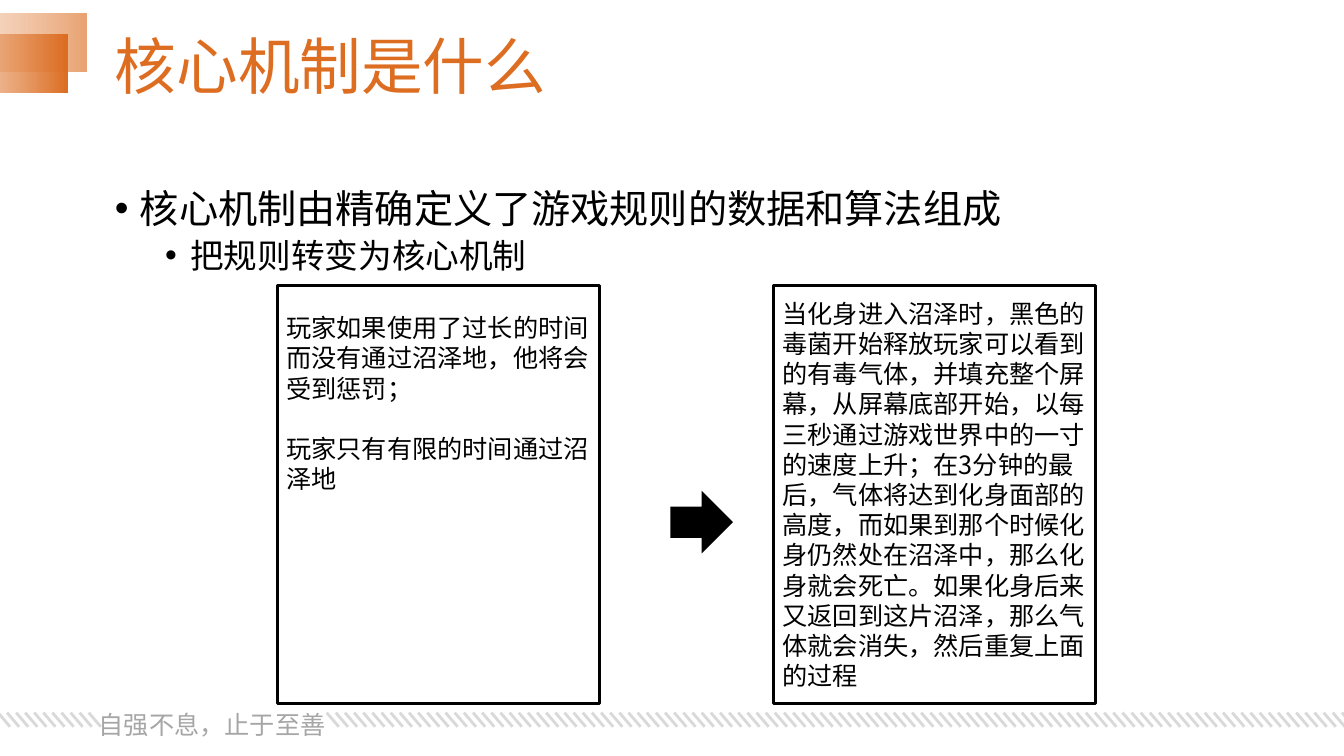
from dataclasses import dataclass

from lxml.etree import SubElement
from pptx import Presentation
from pptx.dml.color import RGBColor
from pptx.enum.shapes import MSO_CONNECTOR as Connector, MSO_SHAPE as Shape
from pptx.enum.text import MSO_ANCHOR as Anchor, PP_ALIGN as Align
from pptx.oxml.ns import qn
from pptx.util import Inches, Pt


@dataclass(frozen=True)
class Theme:
    font: str = "Noto Sans CJK SC"
    footer_font: str = "Noto Sans CJK JP"
    accent: str = "DD6D21"
    accent_light: str = "EAA372"
    ink: str = "000000"
    white: str = "FFFFFF"
    motto: str = "A6A6A6"
    hatch: str = "D9D9D9"
    title_size: int = 44
    point_size: int = 28
    subpoint_size: int = 24
    text_size: int = 18
    rule: int = 2


THEME = Theme()
TITLE = "核心机制是什么"
MOTTO = "自强不息，止于至善"
POINTS = [
    ("核心机制由精确定义了游戏规则的数据和算法组成",
     dict(size=THEME.point_size, leading=33, indent=0.25)),
    ("把规则转变为核心机制",
     dict(size=THEME.subpoint_size, leading=26, indent=0.75, before=5)),
]
RULES = [
    "玩家如果使用了过长的时间而没有通过沼泽地，他将会受到惩罚；",
    "玩家只有有限的时间通过沼泽地",
]
MECHANICS = [
    "当化身进入沼泽时，黑色的毒菌开始释放玩家可以看到的有毒气体，并填充整个屏幕，"
    "从屏幕底部开始，以每三秒通过游戏世界中的一寸的速度上升；在3分钟的最后，"
    "气体将达到化身面部的高度，而如果到那个时候化身仍然处在沼泽中，那么化身就会死亡。"
    "如果化身后来又返回到这片沼泽，那么气体就会消失，然后重复上面的过程",
]
PANELS = [
    (2.75, RULES, Anchor.TOP, 0.27),
    (7.67, MECHANICS, Anchor.MIDDLE, 0.05),
]
CORNER_BANDS = [
    (-1.59, 0.13, THEME.accent_light, 25),
    (-1.78, 0.34, THEME.accent, 0),
]
HATCHES = [(-0.02, 0.88, 11), (3.24, 13.31, 112)]
LEADING = 21.6


def color(code):
    """Turn a hex code into a colour."""
    return RGBColor.from_string(code)


def box(left, top, width, height):
    """Give a position and size in inches."""
    return [Inches(length) for length in (left, top, width, height)]


def write(frame, text, size=THEME.text_size, ink=THEME.ink, font=THEME.font,
          leading=LEADING, before=0, indent=None, align=Align.LEFT):
    """Add one formatted paragraph to a text frame."""
    first = frame.paragraphs[0]
    paragraph = frame.add_paragraph() if first.runs else first
    if indent is not None:
        properties = paragraph._p.get_or_add_pPr()
        properties.set("marL", str(Inches(indent)))
        properties.set("indent", str(Inches(-0.25)))
        SubElement(properties, qn("a:buFont")).set("typeface", "Arial")
        SubElement(properties, qn("a:buChar")).set("char", "•")
    paragraph.alignment = align
    paragraph.line_spacing = Pt(leading)
    paragraph.space_before = Pt(before)
    run = paragraph.add_run()
    run.text = text
    run.font.name = font
    run.font.size = Pt(size)
    run.font.color.rgb = color(ink)
    SubElement(run._r.get_or_add_rPr(), qn("a:ea")).set("typeface", font)


def add_corner_band(slide, left, top, tint, opacity):
    """Draw a band that fades in from transparent white to a tint."""
    band = slide.shapes.add_shape(Shape.RECTANGLE, *box(left, top, 2.45, 0.58))
    band.shadow.inherit = False
    band.line.fill.background()
    band.fill.gradient()
    band.fill.gradient_angle = 0
    for stop, code in zip(band.fill.gradient_stops, (THEME.white, tint)):
        stop.color.rgb = color(code)
    start = band.element.spPr.find(".//" + qn("a:srgbClr"))
    SubElement(start, qn("a:alpha")).set("val", str(opacity * 1000))


def add_hatch(slide, first, last, count):
    """Draw a row of evenly spaced slanted strokes."""
    step = (last - first) / (count - 1)
    for index in range(count):
        left = first + index * step
        stroke = slide.shapes.add_connector(
            Connector.STRAIGHT, *box(left, 7.07, left + 0.12, 7.21))
        stroke.line.color.rgb = color(THEME.hatch)
        stroke.line.width = Pt(THEME.rule)
        SubElement(stroke.element.spPr, qn("a:effectLst"))


def add_panel(slide, left, paragraphs, anchor, inset):
    """Draw an outlined panel of text."""
    panel = slide.shapes.add_shape(Shape.RECTANGLE, *box(left, 2.83, 3.2, 4.15))
    panel.shadow.inherit = False
    panel.fill.background()
    panel.line.color.rgb = color(THEME.ink)
    panel.line.width = Pt(THEME.rule)
    frame = panel.text_frame
    frame.word_wrap = True
    frame.vertical_anchor = anchor
    frame.margin_top = Inches(inset)
    frame.margin_left = frame.margin_right = Inches(0.09)
    for index, text in enumerate(paragraphs):
        write(frame, text, before=LEADING if index else 0)


def main():
    """Build the slide and save it."""
    deck = Presentation()
    deck.slide_width, deck.slide_height = Inches(13.33), Inches(7.5)
    slide = deck.slides.add_slide(deck.slide_layouts[5])

    for band in CORNER_BANDS:
        add_corner_band(slide, *band)
    for hatch in HATCHES:
        add_hatch(slide, *hatch)

    motto = slide.shapes.add_textbox(*box(0.88, 6.83, 2.46, 0.52))
    motto.text_frame.word_wrap = False
    write(motto.text_frame, MOTTO, ink=THEME.motto, font=THEME.footer_font, leading=33)

    title = slide.shapes.title
    title.left, title.top, title.width, title.height = box(1.04, 0.11, 11.5, 1.07)
    title.text_frame.vertical_anchor = Anchor.MIDDLE
    write(title.text_frame, TITLE, size=THEME.title_size, ink=THEME.accent, leading=52)

    points = slide.shapes.add_textbox(*box(1.04, 1.79, 11.5, 1))
    points.text_frame.word_wrap = True
    for text, style in POINTS:
        write(points.text_frame, text, **style)

    for panel in PANELS:
        add_panel(slide, *panel)

    arrow = slide.shapes.add_shape(Shape.RIGHT_ARROW, *box(6.65, 4.87, 0.62, 0.62))
    arrow.shadow.inherit = False
    arrow.fill.solid()
    arrow.fill.fore_color.rgb = color(THEME.ink)
    arrow.line.fill.background()

    deck.save("out.pptx")


if __name__ == "__main__":
    main()
